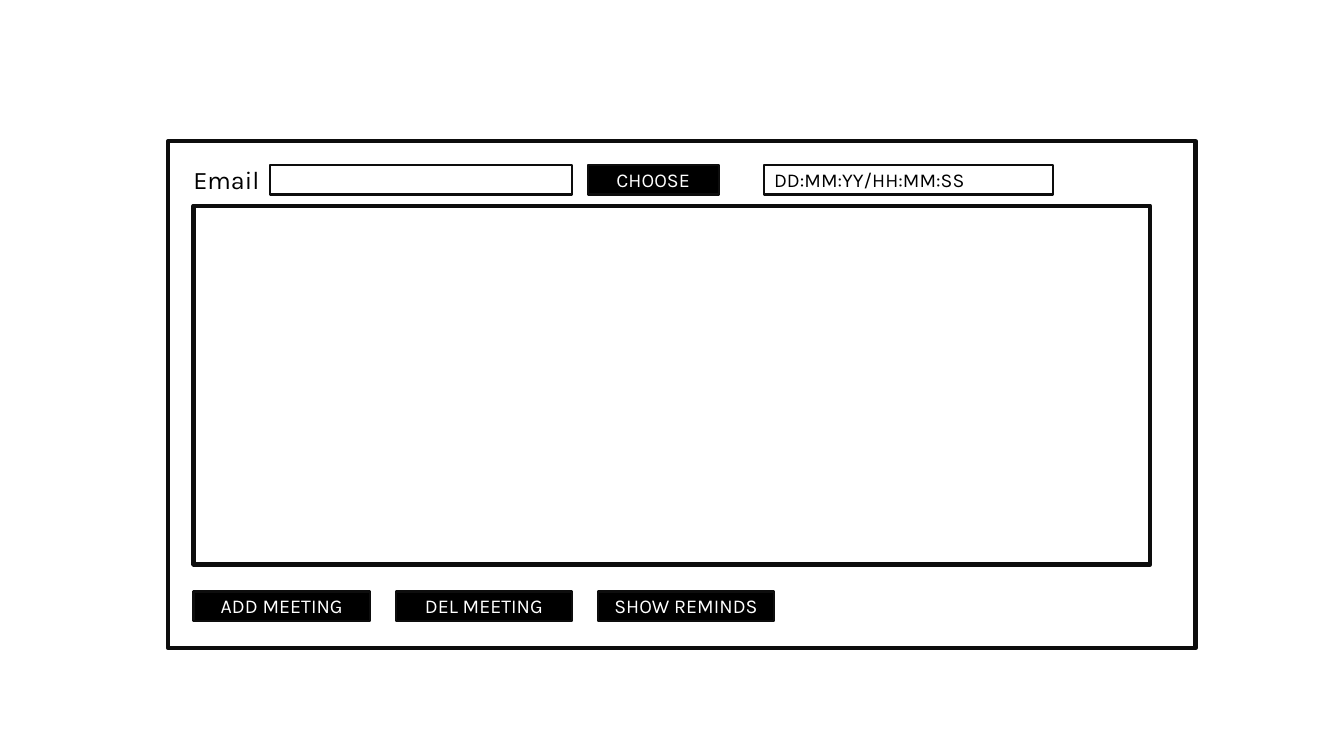
import pptx
import pptx.util
import pptx.dml.color
import pptx.enum.shapes
import pptx.enum.text

Pt = pptx.util.Pt
RGB = pptx.dml.color.RGBColor.from_string
ALIGN = pptx.enum.text.PP_ALIGN
RECTANGLE = pptx.enum.shapes.MSO_SHAPE.RECTANGLE

THEME = {
    "font": "Karla",
    "ink": "000000",
    "paper": "FFFFFF",
    "outline": "0D0D0D",
    "label_size": 18,
    "control_size": 14,
    "frame_line": 3,
    "control_line": 1.5,
}

deck = pptx.Presentation()
deck.slide_width, deck.slide_height = Pt(960), Pt(540)
slide = deck.slides.add_slide(deck.slide_layouts[6])


def write(holder, text, *, size=THEME["control_size"], color=THEME["ink"],
          align=ALIGN.LEFT, anchor=pptx.enum.text.MSO_ANCHOR.MIDDLE):
    frame = holder.text_frame
    frame.word_wrap = True
    frame.vertical_anchor = anchor
    paragraph = frame.paragraphs[0]
    paragraph.alignment = align
    run = paragraph.add_run()
    run.text = text
    run.font.name = THEME["font"]
    run.font.size = Pt(size)
    run.font.color.rgb = RGB(color)


def add_box(left, top, width, height, *, fill=None, line=THEME["control_line"]):
    box = slide.shapes.add_shape(RECTANGLE, Pt(left), Pt(top), Pt(width), Pt(height))
    box.shadow.inherit = False
    if fill:
        box.fill.solid()
        box.fill.fore_color.rgb = RGB(fill)
    else:
        box.fill.background()
    box.line.color.rgb = RGB(THEME["outline"])
    box.line.width = Pt(line)
    return box


content_left = 138.24
control_height = 20.9
form_top = 118.1
actions_top = 422.5
action_width = 126
action_step = 144.4

add_box(120.24, 100.8, 733.7, 362.2, line=THEME["frame_line"])
add_box(193, form_top, 215.3, control_height)

email_label = slide.shapes.add_textbox(Pt(131), Pt(113.76), Pt(100), Pt(29))
write(email_label, "Email", size=THEME["label_size"],
      anchor=pptx.enum.text.MSO_ANCHOR.TOP)

date_field = add_box(545.8, form_top, 206.6, control_height, fill=THEME["paper"])
write(date_field, "DD:MM:YY/HH:MM:SS")

add_box(content_left, 146.9, 683.3, 256.3, line=THEME["frame_line"])

buttons = [("CHOOSE", 419.8, form_top, 93.6)]
for index, action in enumerate(["ADD MEETING", "DEL MEETING", "SHOW REMINDS"]):
    buttons.append((action, content_left + index * action_step, actions_top, action_width))

for caption, left, top, width in buttons:
    button = add_box(left, top, width, control_height, fill=THEME["ink"])
    write(button, caption, color=THEME["paper"], align=ALIGN.CENTER)

deck.save("out.pptx")
